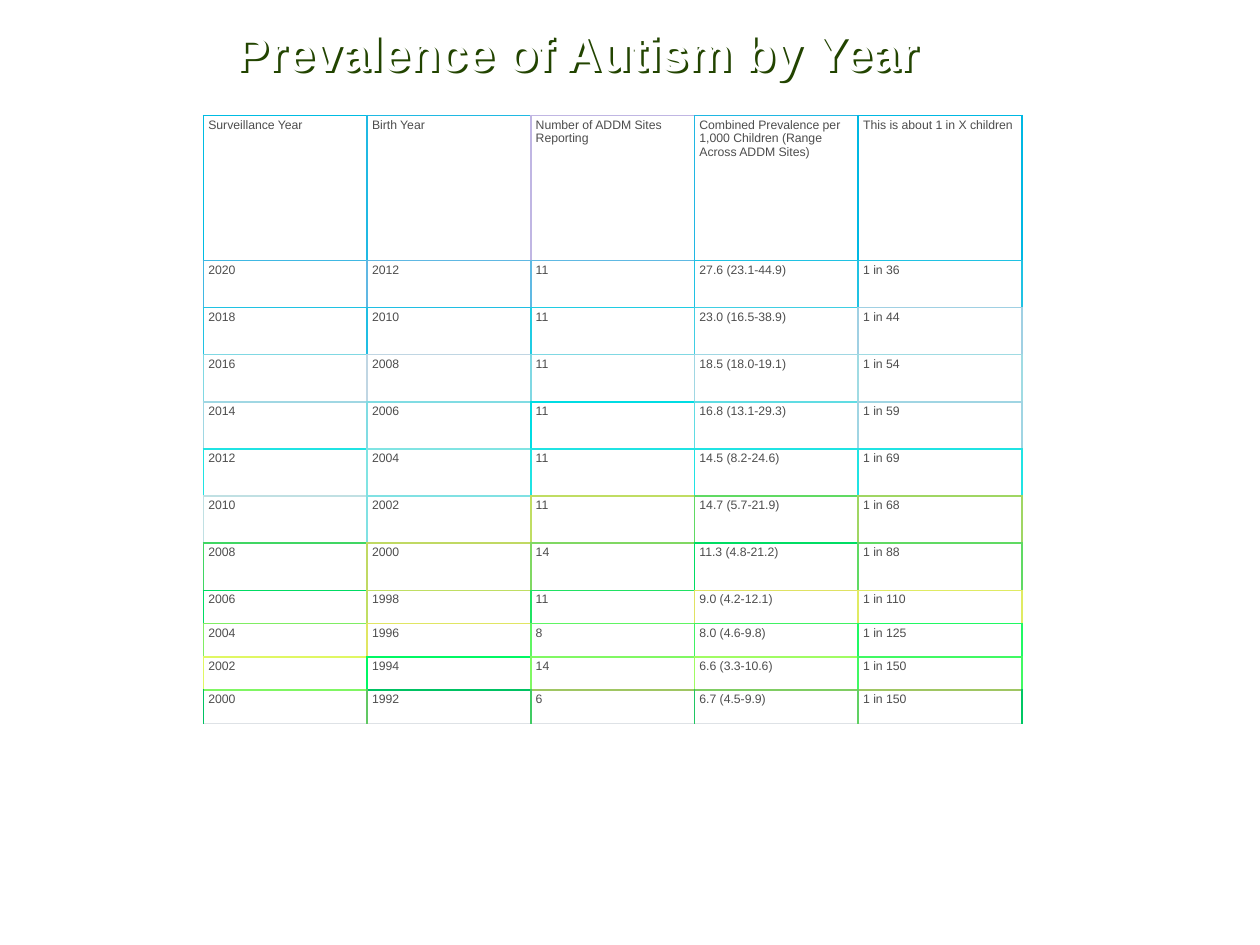
from lxml import etree
from pptx import Presentation
from pptx.dml.color import RGBColor
from pptx.enum.text import MSO_ANCHOR, PP_ALIGN
from pptx.oxml.ns import qn
from pptx.util import Cm, Pt

CENTER = PP_ALIGN.CENTER
MIDDLE = MSO_ANCHOR.MIDDLE
TOP = MSO_ANCHOR.TOP

HEADER = ["Surveillance Year", "Birth Year", "Number of ADDM Sites Reporting",
          "Combined Prevalence per 1,000 Children (Range Across ADDM Sites)",
          "This is about 1 in X children"]
# Sites reporting, prevalence (range), one child in X; newest survey first
SURVEYS = [
    (11, "27.6 (23.1-44.9)", 36), (11, "23.0 (16.5-38.9)", 44),
    (11, "18.5 (18.0-19.1)", 54), (11, "16.8 (13.1-29.3)", 59),
    (11, "14.5 (8.2-24.6)", 69), (11, "14.7 (5.7-21.9)", 68),
    (14, "11.3 (4.8-21.2)", 88), (11, "9.0 (4.2-12.1)", 110),
    (8, "8.0 (4.6-9.8)", 125), (14, "6.6 (3.3-10.6)", 150),
    (6, "6.7 (4.5-9.9)", 150),
]
LATEST_YEAR = 2020
AGE = 8

# Left border of every cell, row by row
LEFT_EDGES = [line.split() for line in """
00BCE3 20B9E3 C0B6E3 20B7E3 00B8E3
40B8E3 60B8E3 60B9E3 20C2E3 20C2E3
20C2E3 20BEE3 20CCE3 40CEE3 A0D0E3
80D8E3 C0D6E3 80D8E3 A0D7E3 A0DBE3
A0D7E3 80DCE3 00DCE3 60DCE3 A0D5E3
20E3E3 80E4E3 20E3E3 20E3E3 20E3E3
C0E0E3 80E1E3 C0DD63 60DA63 A0D663
40D663 C0D963 80D863 00DD63 60DA63
00DC63 C0DE63 20E263 E0E263 E0EB63
80ED63 E0E663 60F563 40F263 20F963
E0F763 00F863 80F863 A0FC63 40F963
00C263 60C863 40CB63 20C663 60D163
""".strip().splitlines()]
# Top borders match the left ones, apart from the last row
LAST_TOPS = ["80F663", "00C263", "A0C663", "80CD63", "A0C663"]
TOP_EDGES = LEFT_EDGES[:-1] + [LAST_TOPS]
# The right side of the table repeats the last column, apart from the last row
RIGHT_SIDE = [row[-1] for row in LEFT_EDGES[:-1]] + ["00C763"]
BOTTOM_SIDE = "DEE2E6"

COLUMN_WIDTH = 3.3
ROW_HEIGHTS = [2.92] + [0.95] * 7 + [0.67] * 4


def rgb(value):
    return RGBColor.from_string(value)


class SlideBuilder:
    font = "Arial"
    white = "FFFFFF"
    ink = "4D4D4D"
    shadow = "224400"

    def __init__(self, deck):
        self.page = deck.slides.add_slide(deck.slide_layouts[5])

    def style(self, para, size, color, bold=False):
        para.font.name = self.font
        para.font.size = Pt(size)
        para.font.bold = bold
        para.font.color.rgb = rgb(color)

    def title(self, text, left, top, width, height):
        box = self.page.shapes.title
        box.left, box.top, box.width, box.height = map(Cm, (left, top, width, height))
        frame = box.text_frame
        frame.text = text
        frame.word_wrap = True
        frame.vertical_anchor = MIDDLE
        para = frame.paragraphs[0]
        para.alignment = CENTER
        self.style(para, 28, self.white, bold=True)
        # Hard shadow that makes the white letters readable
        effects = etree.SubElement(box._element.spPr, qn("a:effectLst"))
        cast = etree.SubElement(effects, qn("a:outerShdw"), dist=str(Pt(2)),
                                dir="2700000", algn="ctr", rotWithShape="0")
        etree.SubElement(cast, qn("a:srgbClr"), val=self.shadow)

    def border(self, cell, side, color, width=1):
        props = cell._tc.get_or_add_tcPr()
        line = etree.SubElement(props, qn(f"a:ln{side}"), w=str(Pt(width)))
        fill = etree.SubElement(line, qn("a:solidFill"))
        etree.SubElement(fill, qn("a:srgbClr"), val=color)

    def cell(self, cell, text):
        cell.text = text
        cell.margin_left = cell.margin_right = Cm(0.1)
        cell.margin_top = cell.margin_bottom = Cm(0.05)
        cell.vertical_anchor = TOP
        self.style(cell.text_frame.paragraphs[0], 7, self.ink)
        cell.fill.solid()
        cell.fill.fore_color.rgb = rgb(self.white)

    def table(self, rows, left, top):
        columns = len(rows[0])
        frame = self.page.shapes.add_table(
            len(rows), columns, Cm(left), Cm(top),
            Cm(COLUMN_WIDTH * columns), Cm(sum(ROW_HEIGHTS)))
        table = frame.table
        table.first_row = table.horz_banding = False
        for column in table.columns:
            column.width = Cm(COLUMN_WIDTH)
        for row, height in zip(table.rows, ROW_HEIGHTS):
            row.height = Cm(height)
        # Neighbouring cells share the colour of the border between them
        for r, texts in enumerate(rows):
            verticals = LEFT_EDGES[r] + [RIGHT_SIDE[r]]
            last = r == len(rows) - 1
            for c, text in enumerate(texts):
                cell = table.cell(r, c)
                self.border(cell, "L", verticals[c])
                self.border(cell, "R", verticals[c + 1])
                self.border(cell, "T", TOP_EDGES[r][c])
                if last:
                    self.border(cell, "B", BOTTOM_SIDE, 0.6)
                else:
                    self.border(cell, "B", TOP_EDGES[r + 1][c])
                self.cell(cell, text)


def main():
    deck = Presentation()
    deck.slide_width, deck.slide_height = Cm(25.4), Cm(19.05)
    builder = SlideBuilder(deck)

    # Title
    builder.title("Prevalence of Autism by Year", 3.63, 0.33, 16, 1.42)

    # Table: one survey every two years, of children aged eight
    rows = [HEADER]
    for index, (sites, prevalence, ratio) in enumerate(SURVEYS):
        year = LATEST_YEAR - 2 * index
        rows.append([str(year), str(year - AGE), str(sites), prevalence, f"1 in {ratio}"])
    builder.table(rows, 4.1, 2.33)

    deck.save("out.pptx")


if __name__ == "__main__":
    main()
